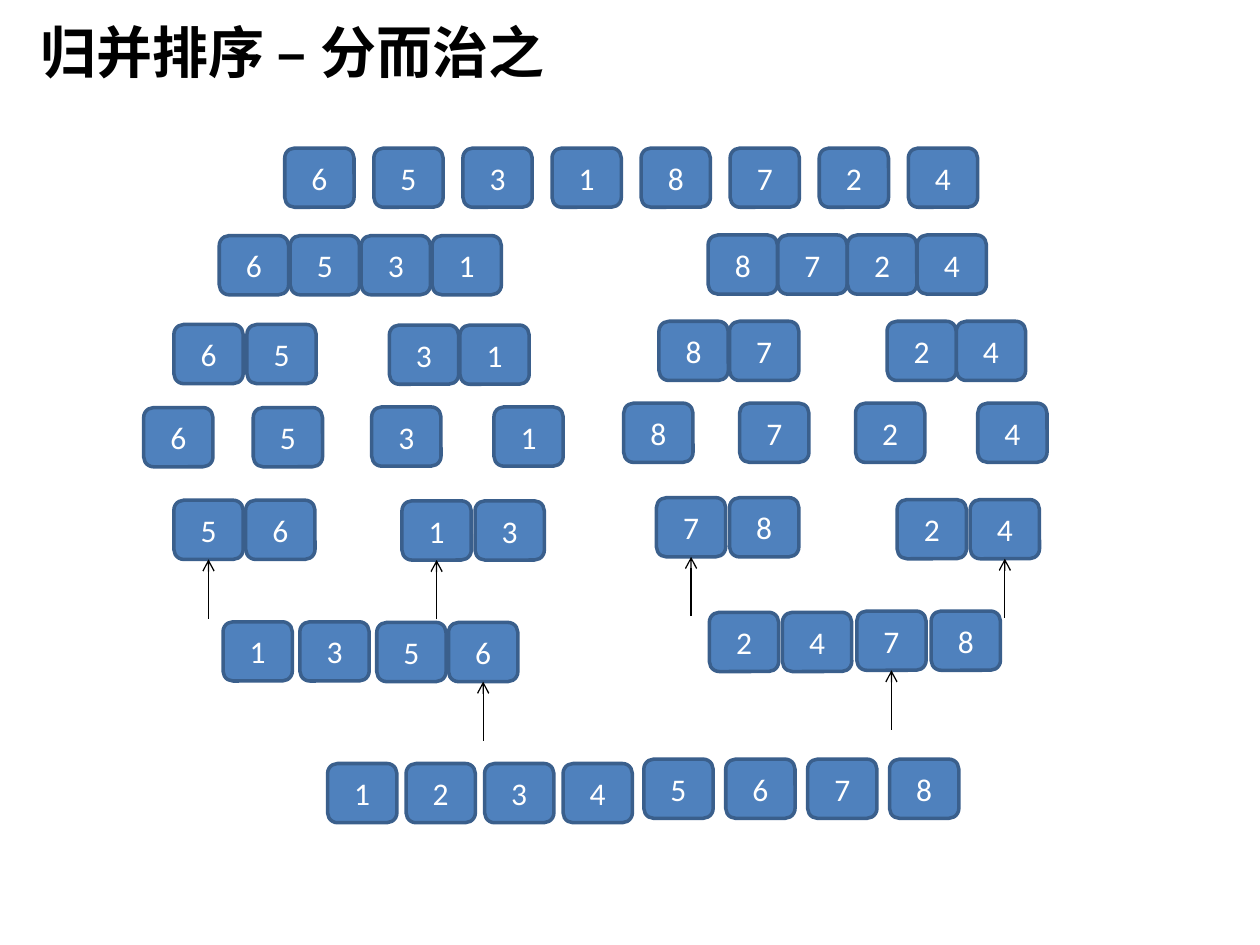
from lxml import etree
from pptx import Presentation
from pptx.dml.color import RGBColor
from pptx.enum.shapes import MSO_CONNECTOR, MSO_SHAPE
from pptx.enum.text import MSO_ANCHOR, MSO_AUTO_SIZE, PP_ALIGN
from pptx.oxml.ns import qn
from pptx.util import Inches, Pt

ROUND = MSO_SHAPE.ROUNDED_RECTANGLE
LINE = MSO_CONNECTOR.STRAIGHT
MID = MSO_ANCHOR.MIDDLE
MIDDLE = PP_ALIGN.CENTER
FIT = MSO_AUTO_SIZE.SHAPE_TO_FIT_TEXT

FONT = "Calibri"
COLORS = {"ink": "000000", "tile": "4F81BD", "edge": "3A5F8C", "digit": "FFFFFF"}
TITLE = "归并排序 – 分而治之"

# digits, left, top, pitch in hundredths of the slide width, digit with an arrow
GROUPS = [
    ("65318724", 22.6, 11.75, 7.07, ""),
    ("6531", 17.4, 18.7, 5.63, ""),
    ("8724", 56.2, 18.65, 5.53, ""),
    ("65", 13.8, 25.75, 5.8, ""),
    ("31", 30.9, 25.8, 5.6, ""),
    ("87", 52.3, 25.5, 5.6, ""),
    ("24", 70.4, 25.5, 5.5, ""),
    ("65", 11.4, 32.35, 8.7, ""),
    ("31", 29.5, 32.3, 9.7, ""),
    ("87", 49.5, 32, 9.2, ""),
    ("24", 67.9, 32, 9.7, ""),
    ("56", 13.8, 39.7, 5.7, "5"),
    ("13", 31.9, 39.75, 5.8, "1"),
    ("78", 52.1, 39.5, 5.8, "7"),
    ("24", 71.2, 39.65, 5.8, "4"),
    ("13", 17.7, 49.35, 6.1, ""),
    ("56", 29.9, 49.4, 5.7, "6"),
    ("24", 56.3, 48.6, 5.8, ""),
    ("78", 68, 48.5, 5.9, "7"),
    ("1234", 26, 60.6, 6.23, ""),
    ("5678", 51.1, 60.25, 6.5, ""),
]

deck = Presentation()
deck.slide_width, deck.slide_height = Inches(10), Inches(7.5)
shapes = deck.slides.add_slide(deck.slide_layouts[6]).shapes
UNIT = deck.slide_width / 100
WIDE, HIGH = int(5.5 * UNIT), int(4.7 * UNIT)


def tint(name):
    return RGBColor.from_string(COLORS[name])


def style(para, size, color, bold=False):
    para.font.name = FONT
    para.font.size = Pt(size)
    para.font.bold = bold
    para.font.color.rgb = tint(color)


def add_title():
    box = shapes.add_textbox(int(2.2 * UNIT), int(0.9 * UNIT), int(42.3 * UNIT), int(6.4 * UNIT))
    frame = box.text_frame
    frame.word_wrap = False
    frame.auto_size = FIT
    frame.text = TITLE
    style(frame.paragraphs[0], 32, "ink", True)


def add_tile(digit, left, top):
    tile = shapes.add_shape(ROUND, int(left * UNIT), int(top * UNIT), WIDE, HIGH)
    tile.shadow.inherit = False
    tile.fill.solid()
    tile.fill.fore_color.rgb = tint("tile")
    tile.line.color.rgb = tint("edge")
    tile.line.width = Pt(2)
    frame = tile.text_frame
    frame.vertical_anchor = MID
    frame.text = digit
    para = frame.paragraphs[0]
    para.alignment = MIDDLE
    style(para, 18, "digit")
    return tile


def add_arrow(tile):
    mid, base = tile.left + WIDE // 2, tile.top + HIGH
    arrow = shapes.add_connector(LINE, mid, base + HIGH, mid, base)
    arrow.end_connect(tile, 2)
    arrow.line.color.rgb = tint("ink")
    arrow.line.width = Pt(0.75)
    etree.SubElement(arrow.line._get_or_add_ln(), qn("a:tailEnd"), type="arrow")
    etree.SubElement(arrow._element.spPr, qn("a:effectLst"))


add_title()
for digits, left, top, pitch, mark in GROUPS:
    for col, digit in enumerate(digits):
        tile = add_tile(digit, left + col * pitch, top)
        if digit == mark:
            add_arrow(tile)

deck.save("out.pptx")
